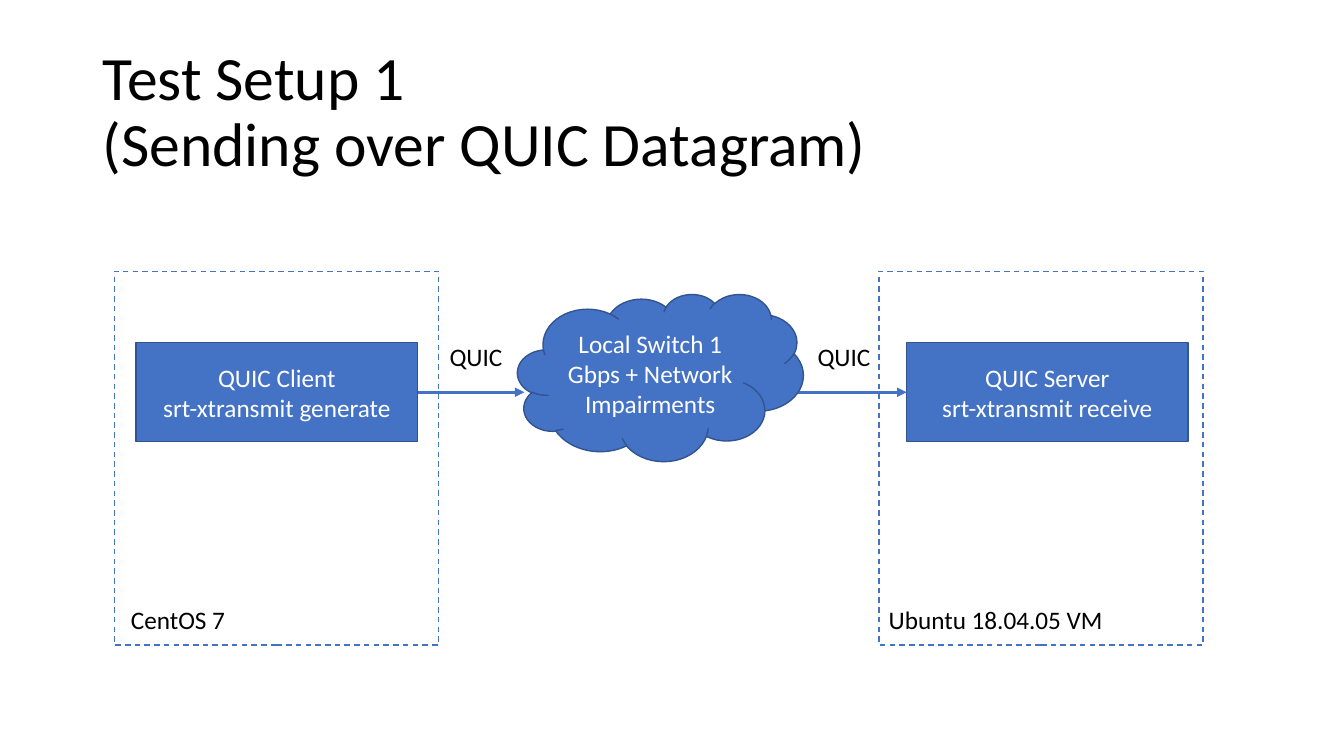
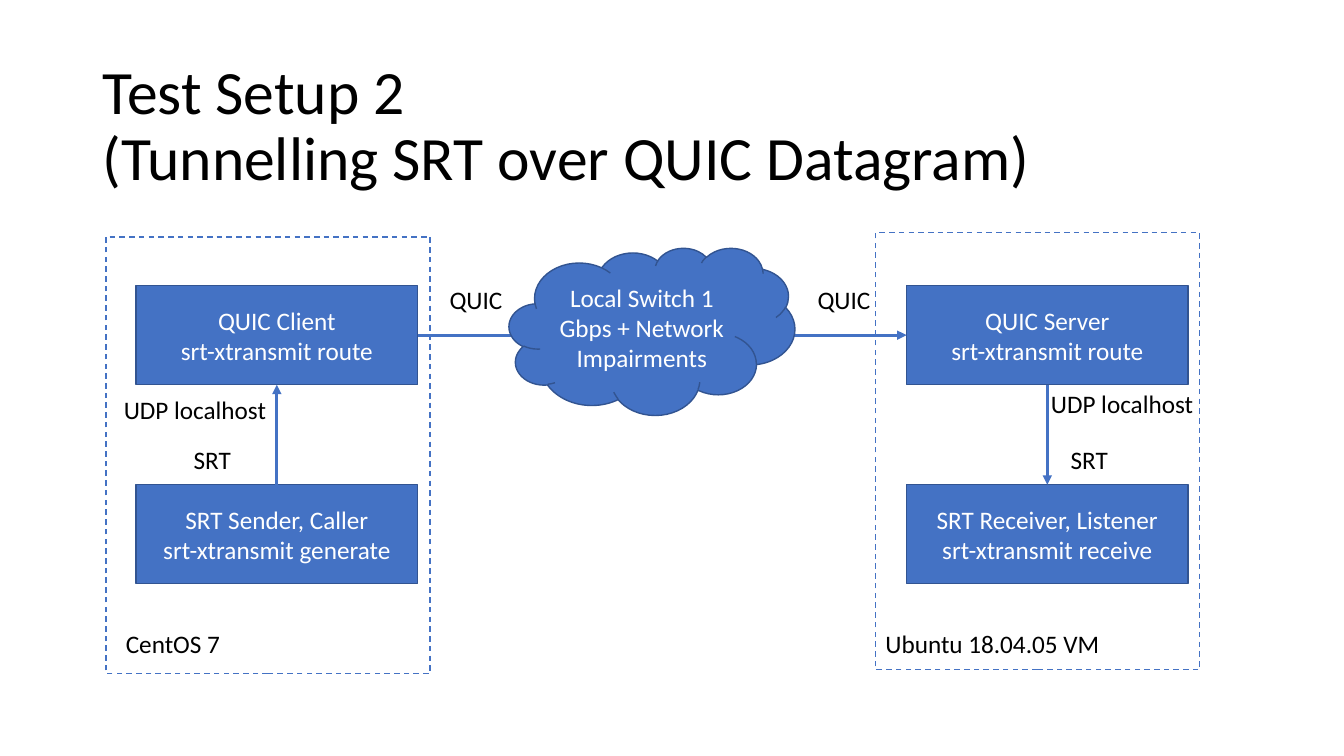
import pptx
import pptx.util
import pptx.dml.color
import pptx.enum.dml
import pptx.enum.shapes
import pptx.enum.text
import pptx.oxml
from dataclasses import dataclass

SHAPE = pptx.enum.shapes.MSO_SHAPE
ALIGN = pptx.enum.text.PP_ALIGN
ANCHOR = pptx.enum.text.MSO_ANCHOR
FIT = pptx.enum.text.MSO_AUTO_SIZE
Pt = pptx.util.Pt


@dataclass
class Theme:
    face: str = "Calibri"
    blue: str = "4472C4"
    edge: str = "325491"
    ink: str = "000000"
    white: str = "FFFFFF"
    head: int = 44
    body: int = 18
    thin: float = 1
    bold: float = 2.25


theme = Theme()

# Grid: 160 columns by 90 rows of square cells
WIDE, HIGH = pptx.util.Inches(13.33), pptx.util.Inches(7.5)
CELL = HIGH / 90
NODE = (33.5, 11.8)
PANEL = 38.6
LABEL = 4.8


def grid(*cells):
    return [round(c * CELL) for c in cells]


def paint(color):
    return pptx.dml.color.RGBColor.from_string(color)


def write(frame, text, size, color, align, **look):
    frame.word_wrap = True
    for key, val in look.items():
        setattr(frame, key, val)
    para = frame.paragraphs[0]
    para.text = text
    para.alignment = align
    for run in para.runs:
        for key, val in {"name": theme.face, "size": Pt(size)}.items():
            setattr(run.font, key, val)
        run.font.color.rgb = paint(color)
    return para


def title(slide, top, text):
    shape = slide.shapes.title
    spot = dict(zip(("left", "top", "width", "height"),
                    grid(11, top, 138, 17.4)))
    for key, val in spot.items():
        setattr(shape, key, val)
    para = write(shape.text_frame, text, theme.head, theme.ink, ALIGN.LEFT,
                 vertical_anchor=ANCHOR.MIDDLE, auto_size=FIT.NONE)
    para.line_spacing = 0.9


def block(slide, kind, box, text):
    shape = slide.shapes.add_shape(kind, *grid(*box))
    shape.shadow.inherit = False
    shape.fill.solid()
    shape.fill.fore_color.rgb = paint(theme.blue)
    shape.line.color.rgb = paint(theme.edge)
    shape.line.width = Pt(theme.thin)
    write(shape.text_frame, text, theme.body, theme.white, ALIGN.CENTER,
          vertical_anchor=ANCHOR.MIDDLE)
    return shape


def label(slide, x, y, w, text, align=ALIGN.CENTER):
    area = slide.shapes.add_textbox(*grid(x, y, w, LABEL))
    write(area.text_frame, text, theme.body, theme.ink, align,
          auto_size=FIT.SHAPE_TO_FIT_TEXT)


def arrow(slide, start, end, first=None, last=None):
    """first and last are (shape, side) pairs to join."""
    line = slide.shapes.add_connector(
        pptx.enum.shapes.MSO_CONNECTOR.STRAIGHT, *grid(*start, *end))
    if first:
        line.begin_connect(*first)
    if last:
        line.end_connect(*last)
    line.line.color.rgb = paint(theme.blue)
    line.line.width = Pt(theme.bold)
    props = line._element.spPr
    space = pptx.oxml.ns.nsdecls("a")
    tip = f'<a:tailEnd {space} type="triangle"/>'
    line.line._get_or_add_ln().append(pptx.oxml.parse_xml(tip))
    props.append(pptx.oxml.parse_xml(f"<a:effectLst {space}/>"))


# One machine: dashed frame, stacked nodes and system name
def host(slide, box, inset, nodes, name, shift):
    x, y = box[:2]
    frame = slide.shapes.add_shape(SHAPE.RECTANGLE, *grid(*box))
    frame.shadow.inherit = False
    frame.fill.background()
    frame.line.color.rgb = paint(theme.blue)
    frame.line.width = Pt(theme.thin)
    frame.line.dash_style = pptx.enum.dml.MSO_LINE.DASH
    label(slide, x + shift[0], y + shift[1], 36, name, ALIGN.LEFT)
    step = 2 * NODE[1] + 0.1
    return [block(slide, SHAPE.RECTANGLE,
                  (x + inset[0], y + inset[1] + i * step, *NODE), text)
            for i, text in enumerate(nodes)]


# The network between the two machines
def network(slide, x, y, client, server):
    flow = (client.top + client.height / 2) / CELL
    arrow(slide, (50, flow), (62.4, flow), first=(client, 3))
    arrow(slide, (93.4, flow), (108, flow), last=(server, 1))
    for left in (47.6, 91.4):
        label(slide, left, flow - 6.6, 18.1, "QUIC")
    block(slide, SHAPE.CLOUD, (x, y, 34, 19.9),
          "Local Switch 1 Gbps + Network Impairments")


# The local hop between two nodes of one machine
def hop(slide, start, end, notes):
    down = start.top < end.top
    sides = (2, 0) if down else (0, 2)
    arrow(slide, (0, 0), (1, 1), (start, sides[0]), (end, sides[1]))
    for x, y, w, text in notes:
        label(slide, x, y, w, text)


def setup(deck, plan):
    slide = deck.slides.add_slide(deck.slide_layouts[5])
    title(slide, *plan["title"])
    left = host(slide, *plan["client"])
    right = host(slide, *plan["server"])
    network(slide, *plan["cloud"], left[0], right[0])
    if "hops" in plan:
        hop(slide, left[1], left[0], plan["hops"][0])
        hop(slide, right[0], right[1], plan["hops"][1])


CLIENT, SERVER = "CentOS 7", "Ubuntu 18.04.05 VM"
PLANS = [
    {
        "title": (4.8, "Test Setup 1\n(Sending over QUIC Datagram)"),
        "client": ((13.6, 32.3, PANEL, 44.5), (2.6, 8.5),
                   ["QUIC Client\nsrt-xtransmit generate"],
                   CLIENT, (0.8, 39)),
        "server": ((104.6, 32.3, PANEL, 44.5), (3.3, 8.5),
                   ["QUIC Server\nsrt-xtransmit receive"],
                   SERVER, (0, 39)),
        "cloud": (61.6, 35),
    },
    {
        "title": (6.5, "Test Setup 2\n(Tunnelling SRT over QUIC Datagram)"),
        "client": ((12.6, 28.2, PANEL, 52), (3.6, 5.8),
                   ["QUIC Client\nsrt-xtransmit route",
                    "SRT Sender, Caller\nsrt-xtransmit generate"],
                   CLIENT, (1.2, 46)),
        "server": ((104.2, 27.7, PANEL, 52), (3.7, 6.3),
                   ["QUIC Server\nsrt-xtransmit route",
                    "SRT Receiver, Listener\nsrt-xtransmit receive"],
                   SERVER, (0, 46.5)),
        "cloud": (60.6, 29.5),
        "hops": [[(12.1, 46.4, 22.2, "UDP localhost"),
                  (16.2, 52.3, 18.1, "SRT")],
                 [(120.6, 45.7, 25.9, "UDP localhost"),
                  (120.6, 52.3, 18.1, "SRT")]],
    },
]


def main():
    deck = pptx.Presentation()
    deck.slide_width, deck.slide_height = WIDE, HIGH
    for plan in PLANS:
        setup(deck, plan)
    deck.save("out.pptx")


if __name__ == "__main__":
    main()
